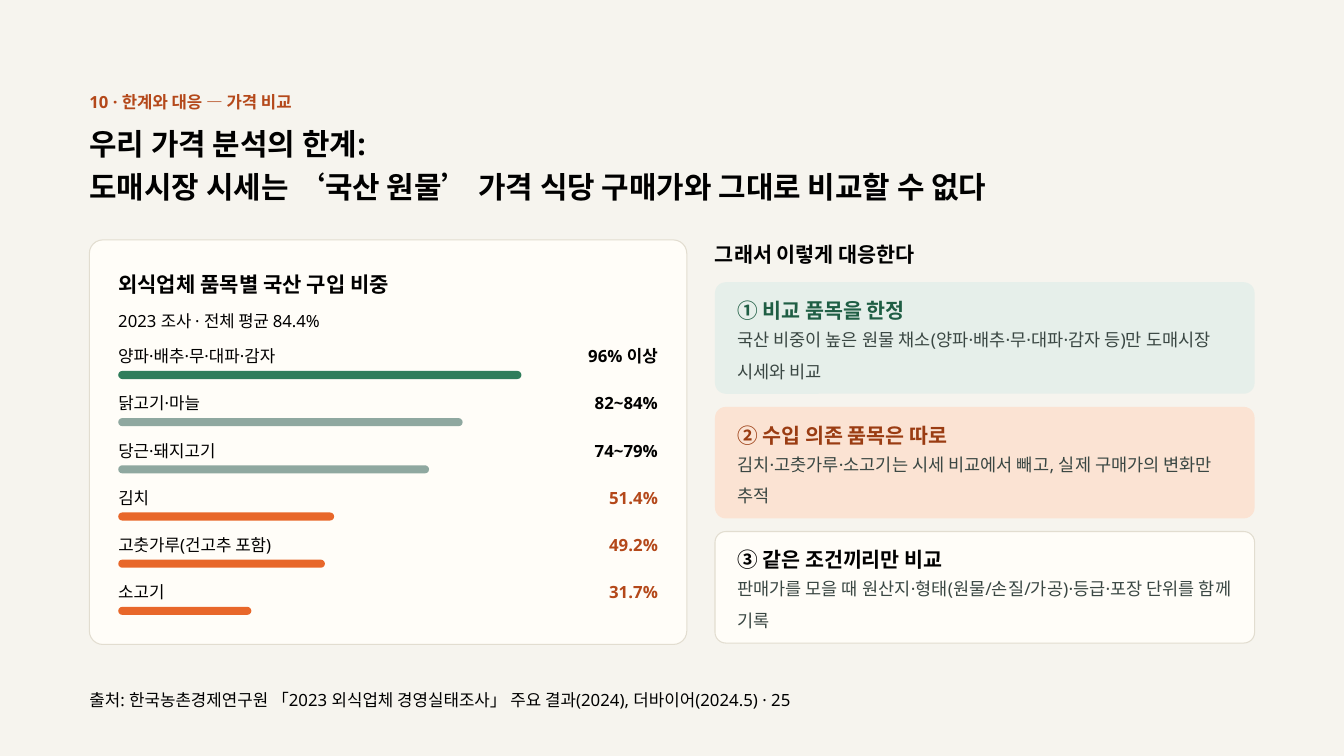
from dataclasses import dataclass
from typing import Optional

from pptx import Presentation
from pptx import util as u
from pptx.dml.color import RGBColor
from pptx.enum import shapes, text

FONT = "Noto Sans"
PAPER = RGBColor(0xF6, 0xF4, 0xEE)
CREAM = RGBColor(0xFF, 0xFD, 0xF8)
BORDER = RGBColor(0xE2, 0xDD, 0xD0)
BLACK = RGBColor(0, 0, 0)
BODY = RGBColor(0x3A, 0x47, 0x43)
GREEN = RGBColor(0x2F, 0x7D, 0x5B)
DARK_GREEN = RGBColor(0x1F, 0x5E, 0x44)
PALE_GREEN = RGBColor(0xE6, 0xEF, 0xEA)
SAGE = RGBColor(0x8F, 0xA8, 0xA0)
ORANGE = RGBColor(0xE8, 0x67, 0x2A)
RUST = RGBColor(0xB4, 0x48, 0x1A)
DARK_RUST = RGBColor(0x9A, 0x3C, 0x12)
PEACH = RGBColor(0xFB, 0xE3, 0xD3)

MARGIN = 1.33
PANEL_LEFT, PANEL_RIGHT = 1.76, 9.79
FULL_BAR = 6.25  # length of a 100% bar
ROW_TOP, ROW_STEP = 5.03, 3.51 / 5
CARD_LEFT, CARD_TOP, CARD_STEP = 10.64, 4.2, 3.71 / 2


@dataclass
class Area:
    left: float
    top: float
    width: float
    height: float

    def lengths(self) -> list:
        return [u.Inches(n) for n in (self.left, self.top, self.width, self.height)]


@dataclass
class Style:
    size: float
    leading: float
    color: RGBColor = BLACK
    bold: bool = False
    align: text.PP_ALIGN = text.PP_ALIGN.LEFT


@dataclass
class Share:
    label: str
    label_width: float
    value: str
    value_width: float
    percent: float
    bar_color: RGBColor
    value_color: RGBColor = BLACK


@dataclass
class Card:
    heading: str
    body: str
    fill: RGBColor
    heading_color: RGBColor
    border: Optional[RGBColor] = None


SHARES = [
    Share("양파·배추·무·대파·감자", 3.16, "96% 이상", 1.26, 96, GREEN),
    Share("닭고기·마늘", 1.55, "82~84%", 1.17, 82, SAGE),
    Share("당근·돼지고기", 1.82, "74~79%", 1.17, 74, SAGE),
    Share("김치", 0.55, "51.4%", 0.92, 51.4, ORANGE, RUST),
    Share("고춧가루(건고추 포함)", 2.75, "49.2%", 0.92, 49.2, ORANGE, RUST),
    Share("소고기", 0.83, "31.7%", 0.92, 31.7, ORANGE, RUST),
]

CARDS = [
    Card("① 비교 품목을 한정",
         "국산 비중이 높은 원물 채소(양파·배추·무·대파·감자 등)만 도매시장 시세와 비교",
         PALE_GREEN, DARK_GREEN),
    Card("② 수입 의존 품목은 따로",
         "김치·고춧가루·소고기는 시세 비교에서 빼고, 실제 구매가의 변화만 추적",
         PEACH, DARK_RUST),
    Card("③ 같은 조건끼리만 비교",
         "판매가를 모을 때 원산지·형태(원물/손질/가공)·등급·포장 단위를 함께 기록",
         CREAM, BLACK, BORDER),
]


def write(box, lines: list[str], style: Style) -> None:
    """Fill a text box or placeholder, one paragraph per line."""
    frame = box.text_frame
    frame_format = {
        "margin_left": 0, "margin_top": 0, "margin_right": 0, "margin_bottom": 0,
        "word_wrap": True, "auto_size": text.MSO_AUTO_SIZE.NONE,
        "vertical_anchor": text.MSO_ANCHOR.TOP,
    }
    for name, value in frame_format.items():
        setattr(frame, name, value)
    for index, line in enumerate(lines):
        para = frame.add_paragraph() if index else frame.paragraphs[0]
        para.alignment = style.align
        para.line_spacing = u.Pt(style.leading)
        para.space_before = u.Pt(0)
        span = para.add_run()
        span.text = line
        span_format = {"name": FONT, "size": u.Pt(style.size), "bold": style.bold}
        for name, value in span_format.items():
            setattr(span.font, name, value)
        span.font.color.rgb = style.color


def add_text(page, area: Area, line: str, style: Style) -> None:
    write(page.shapes.add_textbox(*area.lengths()), [line], style)


def add_rounded(page, area: Area, radius: float, fill: RGBColor,
                border: Optional[RGBColor] = None) -> None:
    box = page.shapes.add_shape(shapes.MSO_SHAPE.ROUNDED_RECTANGLE, *area.lengths())
    box.adjustments[0] = min(0.5, radius / min(area.width, area.height))
    box.shadow.inherit = False
    box.fill.solid()
    box.fill.fore_color.rgb = fill
    if border is None:
        box.line.fill.background()
    else:
        box.line.color.rgb = border
        box.line.width = u.Pt(1.13)


def add_share(page, share: Share, top: float) -> None:
    """Draw one row: label, right-aligned value and bar."""
    add_text(page, Area(PANEL_LEFT, top, share.label_width, 0.47),
             share.label, Style(18, 30.2))
    add_text(page, Area(PANEL_RIGHT - share.value_width, top, share.value_width, 0.47),
             share.value, Style(18, 30.2, share.value_color, True, text.PP_ALIGN.RIGHT))
    bar = Area(PANEL_LEFT, top + 0.49, FULL_BAR * share.percent / 100, 0.12)
    add_rounded(page, bar, 0.06, share.bar_color)


def add_card(page, card: Card, top: float) -> None:
    add_rounded(page, Area(CARD_LEFT, top, 8.03, 1.66), 0.16, card.fill, card.border)
    add_text(page, Area(CARD_LEFT + 0.33, top + 0.16, 7.59, 0.46),
             card.heading, Style(22.1, 31.9, card.heading_color, True))
    add_text(page, Area(CARD_LEFT + 0.33, top + 0.54, 7.59, 0.94),
             card.body, Style(18.8, 33.9, BODY))


def main() -> None:
    deck = Presentation()
    deck.slide_width, deck.slide_height = u.Inches(20), u.Inches(11.25)
    page = deck.slides.add_slide(deck.slide_layouts[5])
    page.background.fill.solid()
    page.background.fill.fore_color.rgb = PAPER

    title = page.shapes.title
    title.left, title.top, title.width, title.height = Area(MARGIN, 1.76, 17.85, 1.25).lengths()
    write(title, ["우리 가격 분석의 한계:",
                  "도매시장 시세는 ‘국산 원물’ 가격 식당 구매가와 그대로 비교할 수 없다"],
          Style(32, 46.1, bold=True))
    add_text(page, Area(MARGIN, 1.25, 17.85, 0.47),
             "10 · 한계와 대응 — 가격 비교", Style(17.9, 30.1, RUST, True))

    add_rounded(page, Area(MARGIN, 3.57, 8.89, 6.02), 0.2, CREAM, BORDER)
    add_text(page, Area(PANEL_LEFT, 3.89, 8.27, 0.58),
             "외식업체 품목별 국산 구입 비중", Style(22.5, 37.8, bold=True))
    add_text(page, Area(PANEL_LEFT, 4.51, 8.27, 0.47),
             "2023 조사 · 전체 평균 84.4%", Style(17.9, 30.1))
    for index, share in enumerate(SHARES):
        add_share(page, share, ROW_TOP + index * ROW_STEP)

    add_text(page, Area(CARD_LEFT, 3.45, 8.27, 0.58),
             "그래서 이렇게 대응한다", Style(22.2, 37.3, bold=True))
    for index, card in enumerate(CARDS):
        add_card(page, card, CARD_TOP + index * CARD_STEP)

    add_text(page, Area(MARGIN, 10.15, 17.85, 0.47),
             "출처: 한국농촌경제연구원 「2023 외식업체 경영실태조사」 주요 결과(2024), "
             "더바이어(2024.5) · 25", Style(18, 30.2))
    deck.save("out.pptx")


if __name__ == "__main__":
    main()
